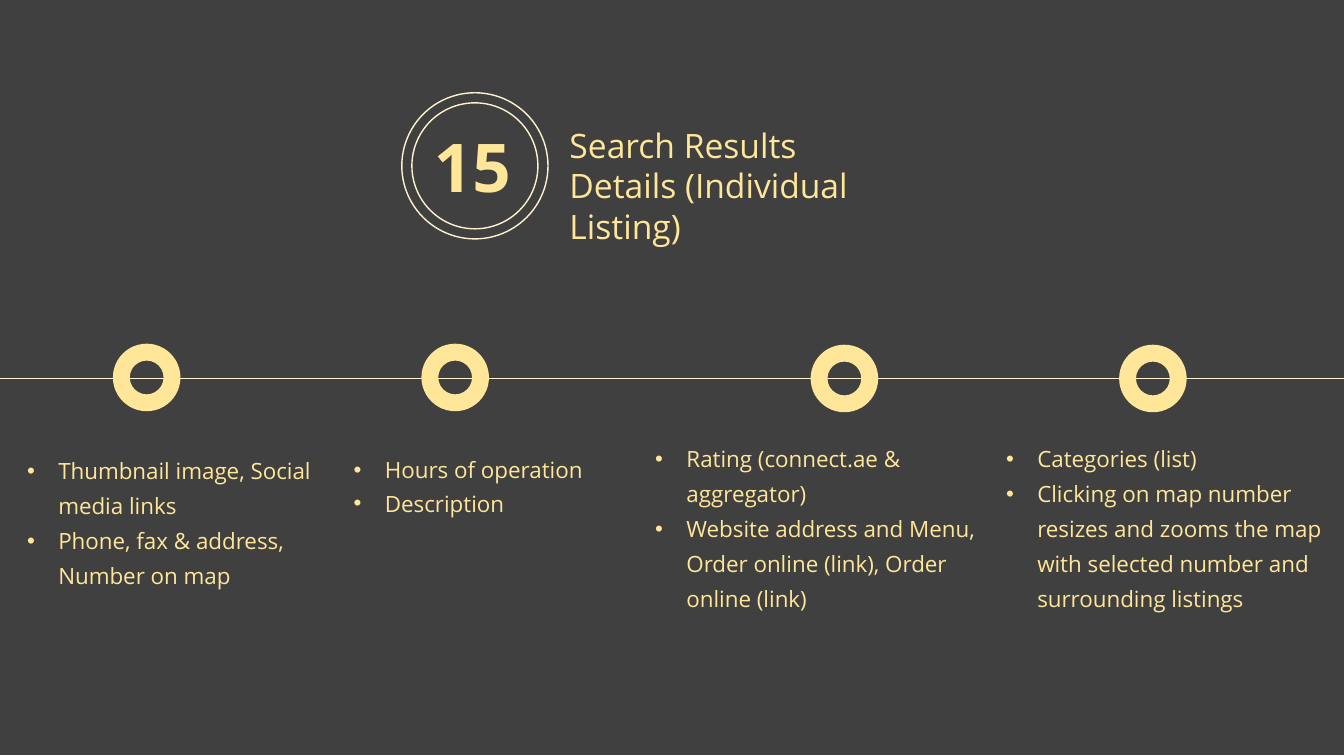
"""Build the search results details timeline slide."""
from dataclasses import dataclass

from lxml import etree
from pptx import Presentation
from pptx.dml.color import RGBColor
from pptx.enum.shapes import MSO_CONNECTOR, MSO_SHAPE
from pptx.enum.text import MSO_AUTO_SIZE, PP_ALIGN
from pptx.oxml.ns import qn
from pptx.util import Inches, Pt

RECTANGLE, DONUT, OVAL = MSO_SHAPE.RECTANGLE, MSO_SHAPE.DONUT, MSO_SHAPE.OVAL
STRAIGHT = MSO_CONNECTOR.STRAIGHT
GROW = MSO_AUTO_SIZE.SHAPE_TO_FIT_TEXT
LEFT, CENTER = PP_ALIGN.LEFT, PP_ALIGN.CENTER


@dataclass(frozen=True)
class Theme:
    """Colours, font and sizes of the slide."""
    veil: RGBColor = RGBColor(0, 0, 0)
    gold: RGBColor = RGBColor(0xFF, 0xE6, 0x99)
    cream: RGBColor = RGBColor(0xFF, 0xF2, 0xCC)
    font: str = "Open Sans"
    number: int = 48
    title: int = 24
    body: int = 16


THEME = Theme()
SLIDE_WIDTH, SLIDE_HEIGHT = 13.33, 7.5
LINE_Y = 3.75
DONUT_SIZE = 0.67
DONUTS = [(1.12, 3.41), (4.18, 3.41), (8.04, 3.42), (11.1, 3.42)]
BADGE_CENTER = (4.71, 1.645)
BADGE_DIAMETERS = [1.25, 1.45]
LISTS = [
    ((0.17, 4.41, 3.23, 1.47), 25,
     ["Thumbnail image, Social media links",
      "Phone, fax & address, Number on map"]),
    ((3.41, 4.41, 3.23, 0.75), 24,
     ["Hours of operation", "Description"]),
    ((6.4, 4.29, 3.59, 1.82), 25,
     ["Rating (connect.ae & aggregator)",
      "Website address and Menu, Order online (link), Order online (link)"]),
    ((9.88, 4.29, 3.46, 1.82), 25,
     ["Categories (list)",
      "Clicking on map number resizes and zooms the map with selected "
      "number and surrounding listings"]),
]


def add_filled(shapes, kind, box, color):
    """Add a borderless filled shape."""
    shape = shapes.add_shape(kind, *map(Inches, box))
    shape.shadow.inherit = False
    shape.fill.solid()
    shape.fill.fore_color.rgb = color
    shape.line.fill.background()
    return shape


def add_veil(shapes):
    """Cover the slide with three-quarters opaque black."""
    veil = add_filled(shapes, RECTANGLE, (0, 0, SLIDE_WIDTH, 7.49), THEME.veil)
    color = veil.fill._xPr.find(qn("a:solidFill")).find(qn("a:srgbClr"))
    etree.SubElement(color, qn("a:alpha"), val="75000")


def add_timeline(shapes):
    """Draw the horizontal line across the slide."""
    line = shapes.add_connector(STRAIGHT, Inches(0), Inches(LINE_Y),
                                Inches(SLIDE_WIDTH), Inches(LINE_Y))
    line.line.color.rgb = THEME.cream
    line.line.width = Pt(0.5)
    etree.SubElement(line._element.spPr, qn("a:effectLst"))


def add_ring(shapes, center, diameter):
    """Add an outlined circle around a centre."""
    left, top = (Inches(value - diameter / 2) for value in center)
    ring = shapes.add_shape(OVAL, left, top, Inches(diameter), Inches(diameter))
    ring.shadow.inherit = False
    ring.fill.background()
    ring.line.color.rgb = THEME.cream
    ring.line.width = Pt(1)


def add_frame(shapes, box, wrap=True):
    """Add a text box that grows with its text and return its frame."""
    frame = shapes.add_textbox(*map(Inches, box)).text_frame
    frame.word_wrap = wrap
    frame.auto_size = GROW
    return frame


def add_run(paragraph, text, size, bold=False):
    """Add a run in the theme font and gold."""
    run = paragraph.add_run()
    run.text = text
    run.font.name = THEME.font
    run.font.size = Pt(size)
    run.font.bold = bold
    run.font.color.rgb = THEME.gold


def add_label(shapes, box, text, size, align=LEFT, bold=False, wrap=True):
    """Add a one-paragraph label."""
    paragraph = add_frame(shapes, box, wrap).paragraphs[0]
    paragraph.alignment = align
    add_run(paragraph, text, size, bold)


def add_bullets(shapes, box, spacing, items):
    """Add a bulleted list with fixed line spacing in points."""
    frame = add_frame(shapes, box)
    for index, item in enumerate(items):
        paragraph = frame.add_paragraph() if index else frame.paragraphs[0]
        paragraph.line_spacing = Pt(spacing)
        properties = paragraph._p.get_or_add_pPr()
        properties.set("marL", str(Inches(0.31)))
        properties.set("indent", str(-Inches(0.31)))
        etree.SubElement(properties, qn("a:buFont"), typeface="Arial")
        etree.SubElement(properties, qn("a:buChar"), char="•")
        add_run(paragraph, item, THEME.body)


def main():
    """Build and save the slide."""
    presentation = Presentation()
    presentation.slide_width = Inches(SLIDE_WIDTH)
    presentation.slide_height = Inches(SLIDE_HEIGHT)
    slide = presentation.slides.add_slide(presentation.slide_layouts[6])
    shapes = slide.shapes
    add_veil(shapes)
    add_timeline(shapes)
    for left, top in DONUTS:
        add_filled(shapes, DONUT, (left, top, DONUT_SIZE, DONUT_SIZE), THEME.gold)
    add_label(shapes, (5.55, 1.19, 3.57, 0.91),
              "Search Results Details (Individual Listing)", THEME.title)
    add_label(shapes, (4.2, 1.19, 0.97, 0.91), "15", THEME.number,
              align=CENTER, bold=True, wrap=False)
    badge = shapes.add_group_shape()
    for diameter in BADGE_DIAMETERS:
        add_ring(badge.shapes, BADGE_CENTER, diameter)
    for box, spacing, items in LISTS:
        add_bullets(shapes, box, spacing, items)
    presentation.save("out.pptx")


if __name__ == "__main__":
    main()
